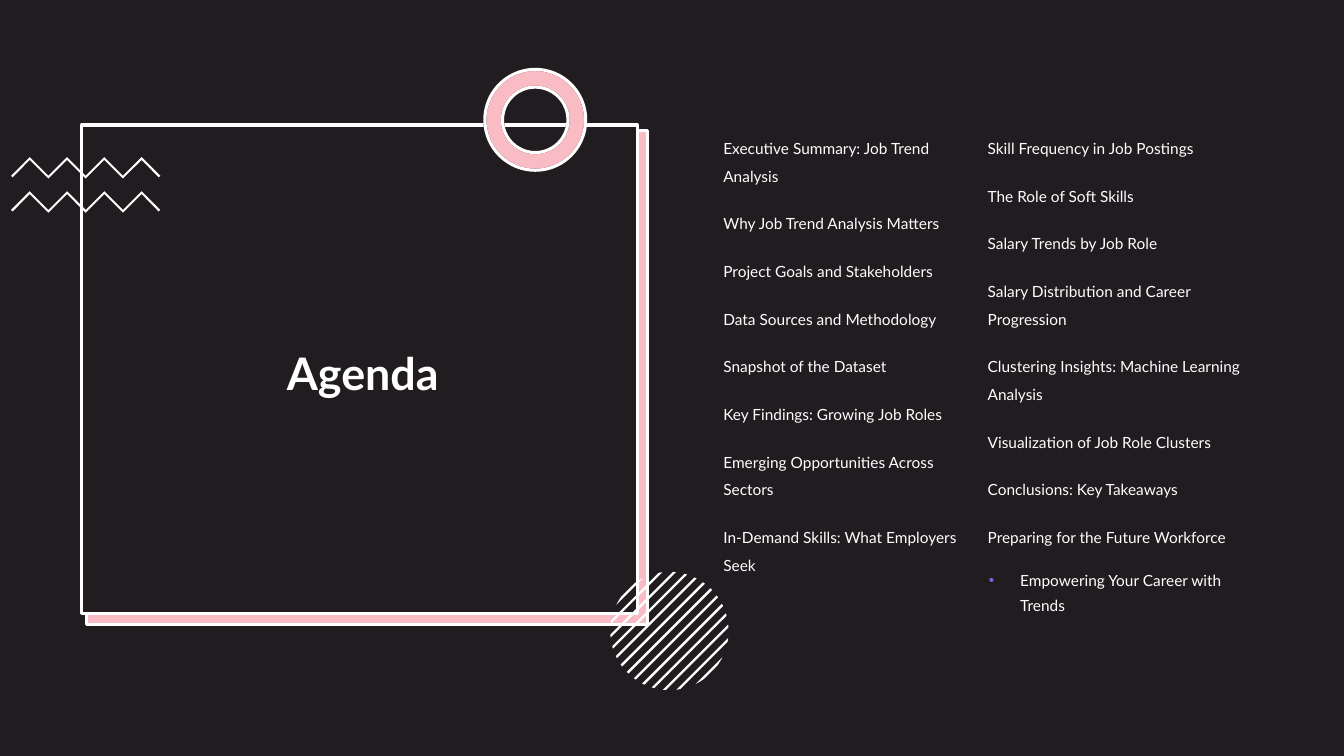
import math
from dataclasses import dataclass

from lxml import etree
from pptx import Presentation
from pptx import util as u
from pptx.dml import color
from pptx.enum import shapes, text
from pptx.oxml import ns

DARK, WHITE, RED, VIOLET = "201C20", "FFFFFF", "EF233C", "7765E3"
FONT = "Lato"


@dataclass
class Plate:
    """A preset shape with its place in centimetres."""
    kind: shapes.MSO_SHAPE
    left: float
    top: float
    width: float
    height: float
    fill: str
    alpha: int = 100
    line: str = ""


@dataclass
class Topic:
    wording: str
    bulleted: bool = False


RECT, RING = shapes.MSO_SHAPE.RECTANGLE, shapes.MSO_SHAPE.DONUT

FRAME = [
    Plate(RECT, 0, 0, 33.87, 19.05, DARK),
    Plate(RECT, 2.16, 3.3, 14.15, 12.45, WHITE),
    Plate(RECT, 2.18, 3.28, 14.15, 12.45, RED, 30, WHITE),
    Plate(RECT, 2.06, 3.15, 14, 12.32, DARK, 100, WHITE),
]
RINGS = [
    Plate(RING, 12.22, 1.75, 2.54, 2.54, WHITE, 100, DARK),
    Plate(RING, 12.22, 1.75, 2.54, 2.54, RED, 30, WHITE),
]
TOPICS = [
    Topic("Executive Summary: Job Trend Analysis"),
    Topic("Why Job Trend Analysis Matters"),
    Topic("Project Goals and Stakeholders"),
    Topic("Data Sources and Methodology"),
    Topic("Snapshot of the Dataset"),
    Topic("Key Findings: Growing Job Roles"),
    Topic("Emerging Opportunities Across Sectors"),
    Topic("In-Demand Skills: What Employers Seek"),
    Topic("Skill Frequency in Job Postings"),
    Topic("The Role of Soft Skills"),
    Topic("Salary Trends by Job Role"),
    Topic("Salary Distribution and Career Progression"),
    Topic("Clustering Insights: Machine Learning Analysis"),
    Topic("Visualization of Job Role Clusters"),
    Topic("Conclusions: Key Takeaways"),
    Topic("Preparing for the Future Workforce"),
    Topic("Empowering Your Career with Trends", bulleted=True),
]


def rgb(value: str) -> color.RGBColor:
    return color.RGBColor.from_string(value)


def paint(shape, fill: str, alpha: int = 100, line: str = "") -> None:
    shape.shadow.inherit = False
    shape.fill.solid()
    shape.fill.fore_color.rgb = rgb(fill)
    if alpha < 100:
        tint = shape.fill._xPr.find(".//" + ns.qn("a:srgbClr"))
        etree.SubElement(tint, ns.qn("a:alpha"), val=str(alpha * 1000))
    if line:
        shape.line.color.rgb = rgb(line)
        shape.line.width = u.Pt(2.25)
    else:
        shape.line.fill.background()


def add_plate(slide, plate: Plate) -> None:
    place = (u.Cm(v) for v in (plate.left, plate.top, plate.width, plate.height))
    shape = slide.shapes.add_shape(plate.kind, *place)
    if plate.kind == RING:
        shape.adjustments[0] = 0.175
    paint(shape, plate.fill, plate.alpha, plate.line)


def add_outline(slide, points: list[tuple[float, float]]) -> None:
    start, *rest = [(u.Cm(x), u.Cm(y)) for x, y in points]
    builder = slide.shapes.build_freeform(*start, scale=1.0)
    builder.add_line_segments(rest, close=True)
    paint(builder.convert_to_shape(), WHITE)


def add_zigzag(slide, peak: float) -> None:
    left, pitch, depth, thickness = 0.28, 0.47, 0.47, 0.07
    upper = [(left + pitch * i, peak + (0 if i % 2 else depth)) for i in range(9)]
    lower = [(x, y + thickness) for x, y in upper[1:-1]]
    (x0, y0), (x1, y1) = upper[0], upper[-1]
    tip = 0.04
    add_outline(slide, upper + [(x1 - tip, y1 + tip)] + lower[::-1]
                + [(x0 + tip, y0 + tip)])


def add_stripe(slide, offset: float) -> None:
    """A diagonal band of the disc, closed by arcs at both ends."""
    center_x, center_y, radius, half_width, steps = 16.87, 15.9, 1.49, 0.03, 6
    near, far = (math.acos((offset + side) / radius)
                 for side in (-half_width, half_width))
    arc = [near + (far - near) * i / steps for i in range(steps + 1)]
    angles = [math.pi / 4 + a for a in arc] + [math.pi / 4 - a for a in arc[::-1]]
    add_outline(slide, [(center_x + radius * math.cos(a),
                         center_y + radius * math.sin(a)) for a in angles])


def add_box(slide, left: float, top: float, width: float, height: float):
    box = slide.shapes.add_textbox(u.Cm(left), u.Cm(top), u.Cm(width), u.Cm(height))
    box.text_frame.word_wrap = True
    return box.text_frame


def write(paragraph, wording: str, *, size: float, bold: bool = False,
          spacing: float = 1.0, before: float = 0, bullet: str = "",
          align=text.PP_ALIGN.LEFT) -> None:
    if bullet:
        props = paragraph._p.get_or_add_pPr()
        props.set("marL", str(u.Cm(0.82)))
        props.set("indent", str(-u.Cm(0.79)))
        tint = etree.SubElement(props, ns.qn("a:buClr"))
        etree.SubElement(tint, ns.qn("a:srgbClr"), val=VIOLET)
        etree.SubElement(props, ns.qn("a:buFont"), typeface="Arial")
        etree.SubElement(props, ns.qn("a:buChar"), char=bullet)
    paragraph.alignment = align
    paragraph.line_spacing = spacing
    if before:
        paragraph.space_before = u.Pt(before)
    run = paragraph.add_run()
    run.text = wording
    run.font.name, run.font.size, run.font.bold = FONT, u.Pt(size), bold
    run.font.color.rgb = rgb(WHITE)


def add_topics(slide) -> None:
    frame = add_box(slide, 17.98, 3.15, 13.82, 12.09)
    frame._txBody.bodyPr.set("numCol", "2")
    for i, topic in enumerate(TOPICS):
        paragraph = frame.add_paragraph() if i else frame.paragraphs[0]
        if topic.bulleted:
            write(paragraph, topic.wording, size=11, spacing=1.4, before=12, bullet="•")
        else:
            write(paragraph, topic.wording, size=11, spacing=1.5,
                  before=14.2 if i else 0)


def main() -> None:
    deck = Presentation()
    deck.slide_width, deck.slide_height = u.Cm(33.87), u.Cm(19.05)
    slide = deck.slides.add_slide(deck.slide_layouts[6])

    # Background and framed panel
    for plate in FRAME:
        add_plate(slide, plate)

    # Ornaments: zigzags, ring, striped disc
    for peak in (3.96, 4.82):
        add_zigzag(slide, peak)
    for ring in RINGS:
        add_plate(slide, ring)
    for step in range(-6, 7):
        add_stripe(slide, 0.24 * step)

    # Title
    title = add_box(slide, 2.34, 3.86, 13.61, 11.23)
    title.vertical_anchor = text.MSO_ANCHOR.MIDDLE
    write(title.paragraphs[0], "Agenda", size=32, bold=True, spacing=0.9,
          align=text.PP_ALIGN.CENTER)

    # Topics in two columns
    add_topics(slide)
    deck.save("out.pptx")


if __name__ == "__main__":
    main()
